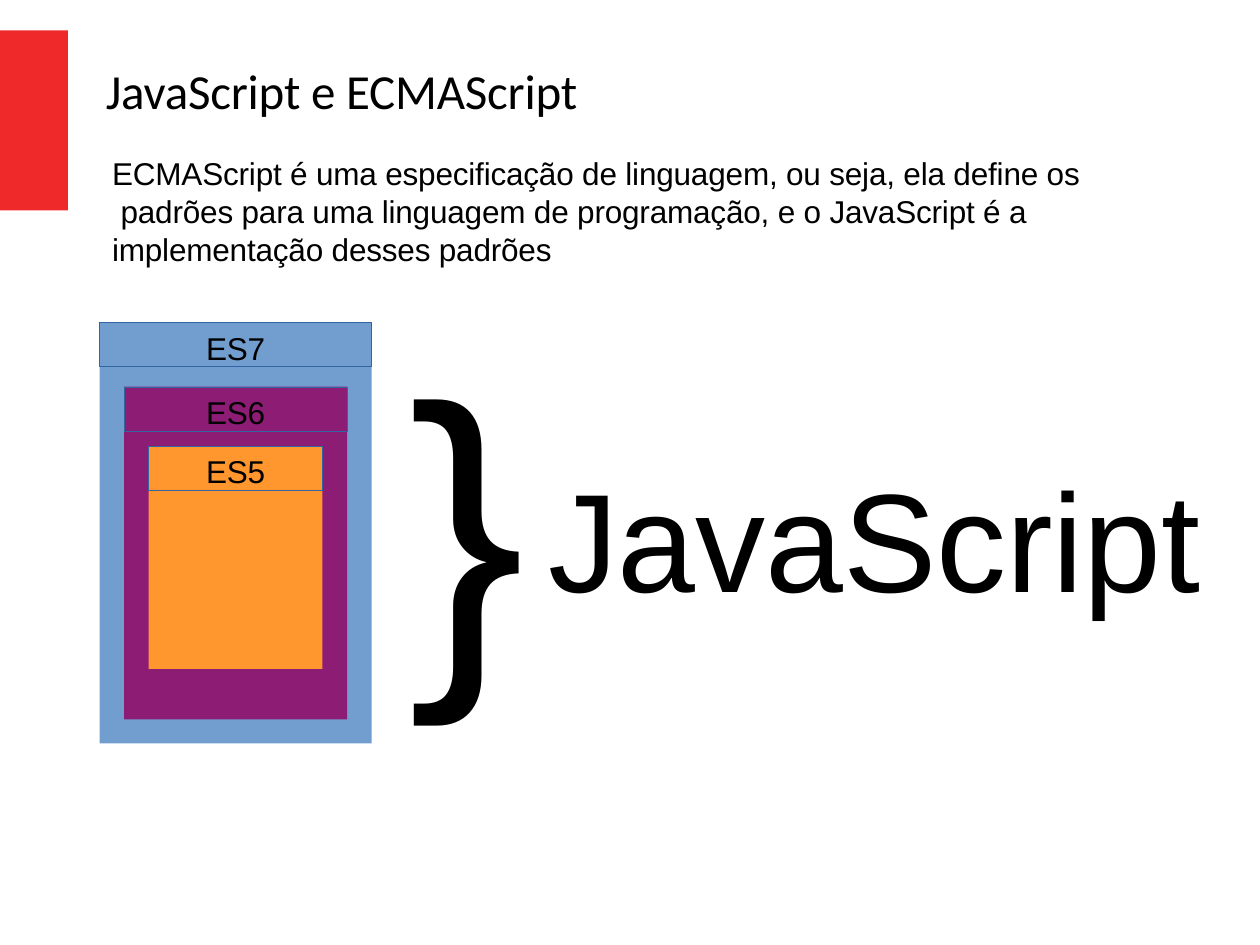
from dataclasses import dataclass

from pptx import Presentation
from pptx.dml.color import RGBColor
from pptx.enum.shapes import MSO_SHAPE
from pptx.enum.text import MSO_ANCHOR, MSO_AUTO_SIZE, PP_ALIGN
from pptx.slide import Slide
from pptx.util import Inches, Pt

SLIDE_WIDTH = Inches(10)
SLIDE_HEIGHT = Inches(7.5)


@dataclass(frozen=True)
class Theme:
    accent: str = "EF2929"
    es7: str = "719ECE"
    es6: str = "8C1C74"
    es5: str = "FF962E"
    outline: str = "3364A3"
    ink: str = "000000"
    title_font: str = "Calibri"
    body_font: str = "Arial"
    title_size: float = 28
    body_size: float = 18
    word_size: float = 80
    brace_size: float = 200
    tracking: str = "-10"


@dataclass(frozen=True)
class Area:
    """Position and size in percent of the slide."""
    left: float
    top: float
    width: float
    height: float

    def lengths(self) -> tuple[int, int, int, int]:
        return (
            int(SLIDE_WIDTH * self.left / 100),
            int(SLIDE_HEIGHT * self.top / 100),
            int(SLIDE_WIDTH * self.width / 100),
            int(SLIDE_HEIGHT * self.height / 100),
        )


@dataclass(frozen=True)
class Line:
    text: str
    size: float
    font: str
    before: float = 1
    indent: float = 0.01
    align: PP_ALIGN = PP_ALIGN.LEFT


@dataclass(frozen=True)
class Edition:
    name: str
    color: str
    top: float
    width: float
    height: float


THEME = Theme()
EDITIONS_CENTER = 18.7
LABEL_HEIGHT = 4.67

EDITIONS = [
    Edition("ES7", THEME.es7, 34.13, 21.6, 44.53),
    Edition("ES6", THEME.es6, 40.93, 17.7, 35.2),
    Edition("ES5", THEME.es5, 47.2, 13.8, 23.6),
]

DEFINITION = (
    "ECMAScript é uma especificação de linguagem, ou seja, ela define os\v"
    " padrões para uma linguagem de programação, e o JavaScript é a\v"
    "implementação desses padrões"
)


def add_block(slide: Slide, area: Area, color: str) -> None:
    block = slide.shapes.add_shape(MSO_SHAPE.RECTANGLE, *area.lengths())
    block.shadow.inherit = False
    block.fill.solid()
    block.fill.fore_color.rgb = RGBColor.from_string(color)
    block.line.fill.background()


def add_text(slide: Slide, area: Area, lines: list[Line],
             inset: float = 0.01, outline: str | None = None) -> None:
    box = slide.shapes.add_textbox(*area.lengths())
    if outline:
        box.line.color.rgb = RGBColor.from_string(outline)
        box.line.width = Pt(0.25)
    frame = box.text_frame
    frame.word_wrap = True
    frame.auto_size = MSO_AUTO_SIZE.SHAPE_TO_FIT_TEXT
    frame.vertical_anchor = MSO_ANCHOR.TOP
    frame.margin_left = frame.margin_right = frame.margin_bottom = 0
    frame.margin_top = Inches(inset)
    for index, line in enumerate(lines):
        paragraph = frame.add_paragraph() if index else frame.paragraphs[0]
        paragraph.text = line.text
        paragraph.alignment = line.align
        paragraph.space_before = Pt(line.before)
        paragraph._p.get_or_add_pPr().set("marL", str(Inches(line.indent)))
        for run in paragraph.runs:
            run.font.size = Pt(line.size)
            run.font.name = line.font
            run.font.color.rgb = RGBColor.from_string(THEME.ink)
            run._r.get_or_add_rPr().set("spc", THEME.tracking)


def add_edition(slide: Slide, edition: Edition) -> None:
    left = EDITIONS_CENTER - edition.width / 2
    add_block(slide, Area(left, edition.top, edition.width, edition.height), edition.color)
    label = Line(edition.name, THEME.body_size, THEME.body_font,
                 before=3.5, indent=0, align=PP_ALIGN.CENTER)
    add_text(slide, Area(left, edition.top, edition.width, LABEL_HEIGHT),
             [label], inset=0.05, outline=THEME.outline)


def main() -> None:
    deck = Presentation()
    deck.slide_width = SLIDE_WIDTH
    deck.slide_height = SLIDE_HEIGHT
    slide = deck.slides.add_slide(deck.slide_layouts[6])

    add_block(slide, Area(0, 3.2, 5.4, 19.07), THEME.accent)
    add_text(slide, Area(8.3, 6.27, 78.3, 22.13), [
        Line("JavaScript e ECMAScript", THEME.title_size, THEME.title_font),
        Line(DEFINITION, THEME.body_size, THEME.body_font, before=20.1, indent=0.06),
    ])
    for edition in EDITIONS:
        add_edition(slide, edition)
    add_text(slide, Area(32.3, 32, 9.6, 44.67),
             [Line("}", THEME.brace_size, THEME.body_font)])
    add_text(slide, Area(43.4, 47.73, 52.2, 18),
             [Line("JavaScript", THEME.word_size, THEME.body_font)])

    deck.save("out.pptx")


if __name__ == "__main__":
    main()
